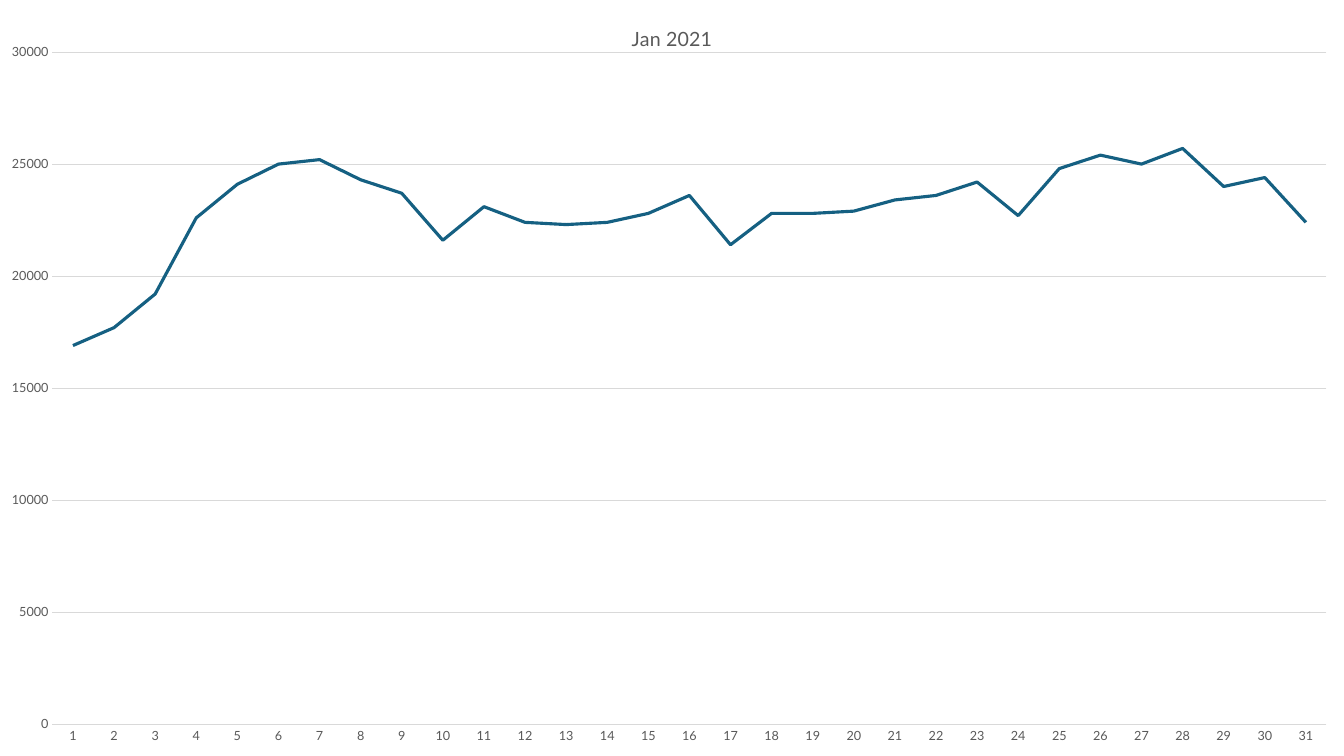
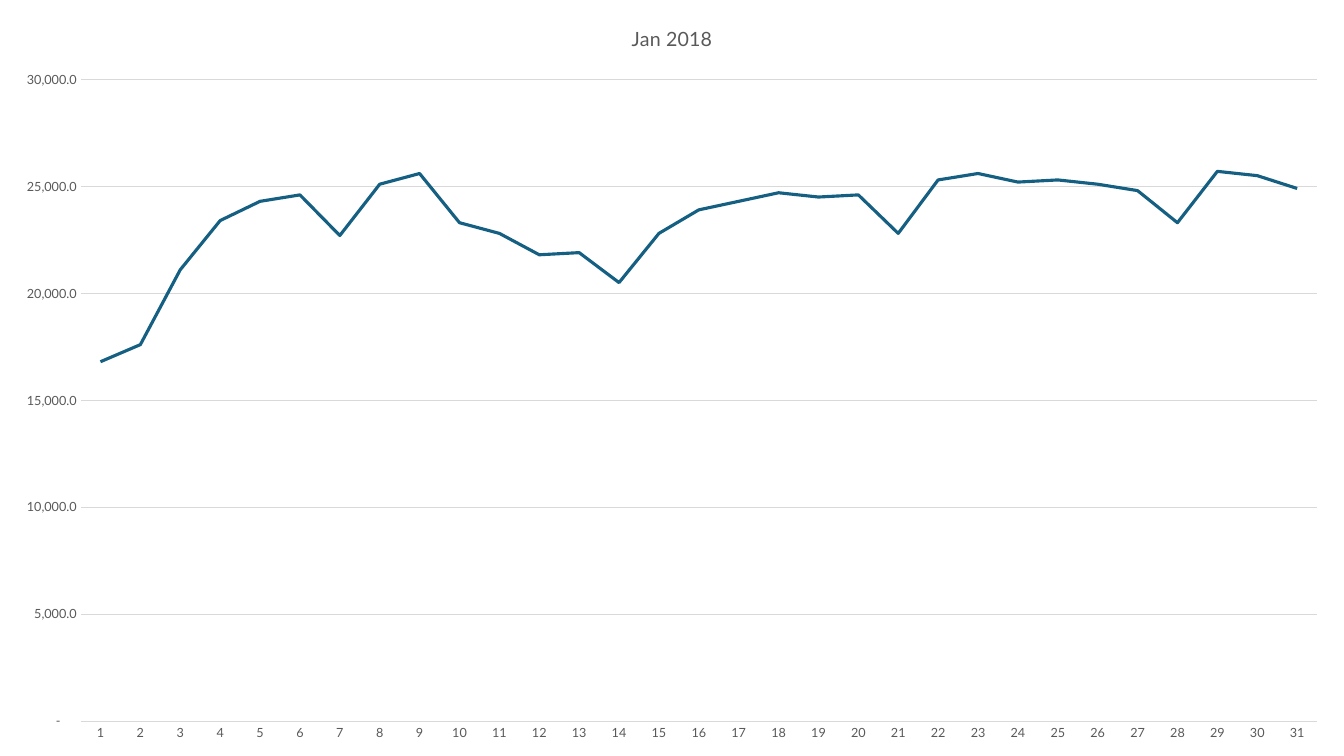
from dataclasses import dataclass
from typing import Optional

from lxml.etree import SubElement
from pptx import Presentation
from pptx.chart.chart import Chart
from pptx.chart.data import CategoryChartData
from pptx.dml.color import RGBColor
from pptx.enum.chart import XL_CHART_TYPE, XL_MARKER_STYLE, XL_TICK_MARK
from pptx.oxml.ns import qn
from pptx.util import Pt

# Shared style
WIDE, HIGH = Pt(960), Pt(540)
FONT = "Lato"
TEXT, GRID, LINE = "595959", "D9D9D9", "156082"


@dataclass
class Month:
    title: str
    vals: list[int]
    fmt: str = "General"
    plot: Optional[tuple[float, float, float, float]] = None


MONTHS = [
    Month(
        "Jan 2021",
        [16900, 17700, 19200, 22600, 24100, 25000, 25200, 24300,
         23700, 21600, 23100, 22400, 22300, 22400, 22800, 23600,
         21400, 22800, 22800, 22900, 23400, 23600, 24200, 22700,
         24800, 25400, 25000, 25700, 24000, 24400, 22400],
        plot=(0.039, 0.069, 0.948, 0.889),
    ),
    Month(
        "Jan 2018",
        [16800, 17600, 21100, 23400, 24300, 24600, 22700, 25100,
         25600, 23300, 22800, 21800, 21900, 20500, 22800, 23900,
         24300, 24700, 24500, 24600, 22800, 25300, 25600, 25200,
         25300, 25100, 24800, 23300, 25700, 25500, 24900],
        fmt='#,##0.0;[Red]\\-#,##0.0;"-"_____;',
    ),
]


def rgb(code: str) -> RGBColor:
    return RGBColor.from_string(code)


def style(font, size: float, code: str = TEXT) -> None:
    font.name, font.size, font.bold = FONT, Pt(size), False
    font.color.rgb = rgb(code)


def stroke(line, code: str, width: float) -> None:
    line.color.rgb = rgb(code)
    line.width = Pt(width)


def place(chart: Chart, box: tuple[float, float, float, float]) -> None:
    """Fix the inner plot area as fractions of the chart."""
    area = chart.plots[0]._element.getparent()
    for old in area.findall(qn("c:layout")):
        area.remove(old)
    layout = SubElement(area, qn("c:layout"))
    area.insert(0, layout)
    manual = SubElement(layout, qn("c:manualLayout"))
    parts = [("layoutTarget", "inner"), ("xMode", "edge"), ("yMode", "edge")]
    parts += zip("xywh", map(str, box))
    for tag, val in parts:
        SubElement(manual, qn(f"c:{tag}")).set("val", val)


def draw(slide, month: Month) -> None:
    data = CategoryChartData(number_format="General")
    data.categories = [str(day) for day in range(1, len(month.vals) + 1)]
    data.add_series("Series 1", month.vals)
    chart = slide.shapes.add_chart(
        XL_CHART_TYPE.LINE, 0, 0, WIDE, HIGH, data).chart
    style(chart.font, 10, "000000")
    chart.has_legend = False

    # Title
    chart.has_title = True
    head = chart.chart_title.text_frame
    head.text = month.title
    style(head.paragraphs[0].font, 14)
    chart.chart_title.include_in_layout = False

    # Axes
    days, scale = chart.category_axis, chart.value_axis
    for axis in (days, scale):
        axis.major_tick_mark = axis.minor_tick_mark = XL_TICK_MARK.NONE
        style(axis.tick_labels.font, 9)
    stroke(days.format.line, GRID, 0.75)
    scale.format.line.fill.background()
    scale.minimum_scale, scale.maximum_scale = 0, 30000
    scale.major_unit = 5000
    scale.has_major_gridlines = True
    stroke(scale.major_gridlines.format.line, GRID, 0.75)
    scale.tick_labels.number_format = month.fmt
    scale.tick_labels.number_format_is_linked = False

    # Line
    chart.plots[0].vary_by_categories = False
    curve = chart.plots[0].series[0]
    curve.smooth = False
    curve.marker.style = XL_MARKER_STYLE.NONE
    stroke(curve.format.line, LINE, 2.25)
    if month.plot:
        place(chart, month.plot)


def main() -> None:
    deck = Presentation()
    deck.slide_width, deck.slide_height = WIDE, HIGH
    blank = deck.slide_layouts[6]
    for month in MONTHS:
        draw(deck.slides.add_slide(blank), month)
    deck.save("out.pptx")


if __name__ == "__main__":
    main()
